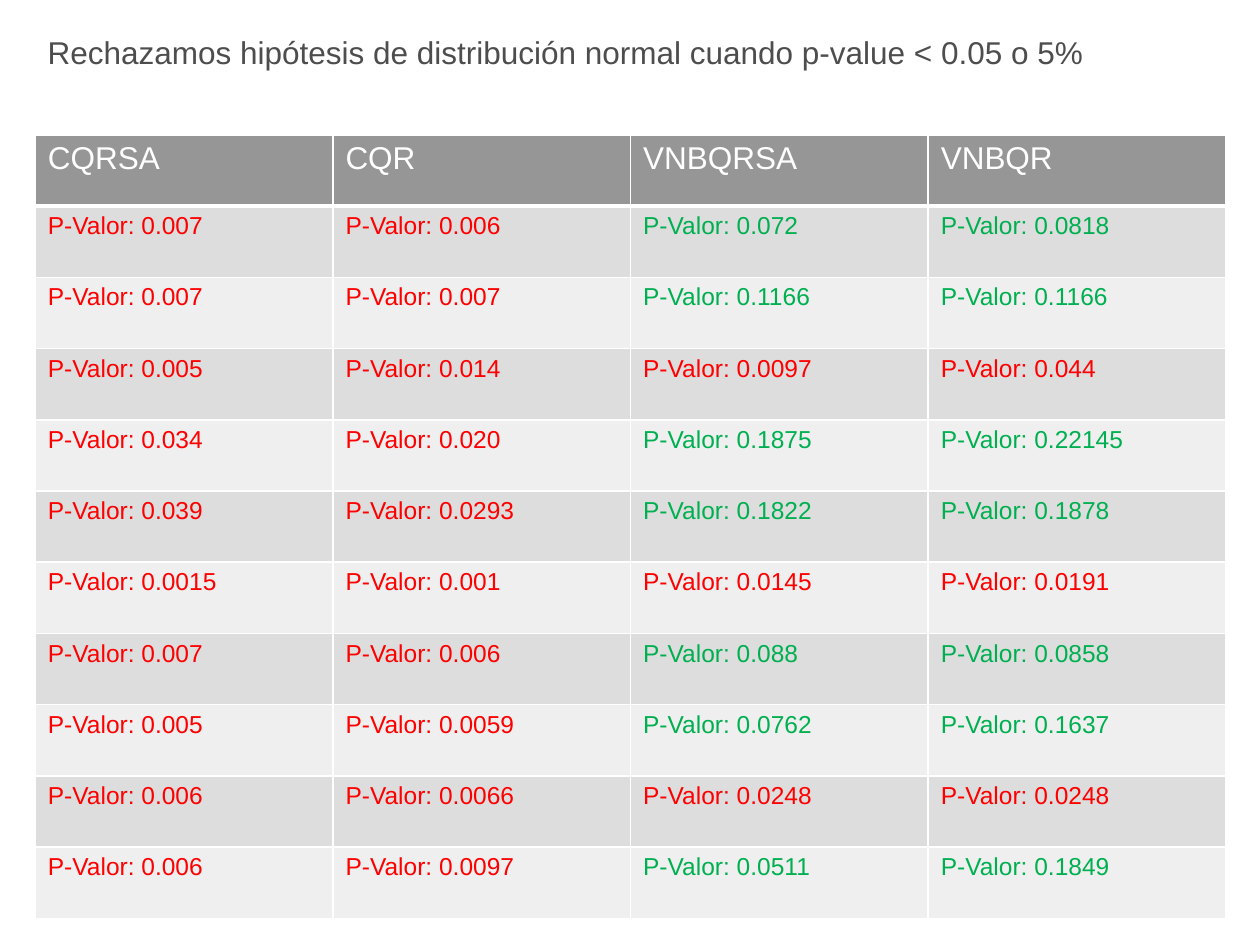
"""Build a slide with a table of normality-test p-values."""
from lxml.etree import SubElement
from pptx import Presentation
from pptx.dml.color import RGBColor
from pptx.enum.text import MSO_AUTO_SIZE
from pptx.oxml.ns import qn
from pptx.util import Inches, Pt


def write(tf, text, size=14, color="4D4D4D"):
    r = tf.paragraphs[0].add_run()
    r.text = text
    r.font.name = "Arial"
    r.font.size = Pt(size)
    r.font.bold = False
    r.font.color.rgb = RGBColor.from_string(color)


def add_border(cell, side, width, color="FFFFFF"):
    ln = SubElement(cell._tc.get_or_add_tcPr(), qn(f"a:ln{side}"), w=str(Pt(width)))
    SubElement(SubElement(ln, qn("a:solidFill")), qn("a:srgbClr"), val=color)


HEADERS = ["CQRSA", "CQR", "VNBQRSA", "VNBQR"]
P_VALUES = [
    ["0.007", "0.006", "0.072", "0.0818"],
    ["0.007", "0.007", "0.1166", "0.1166"],
    ["0.005", "0.014", "0.0097", "0.044"],
    ["0.034", "0.020", "0.1875", "0.22145"],
    ["0.039", "0.0293", "0.1822", "0.1878"],
    ["0.0015", "0.001", "0.0145", "0.0191"],
    ["0.007", "0.006", "0.088", "0.0858"],
    ["0.005", "0.0059", "0.0762", "0.1637"],
    ["0.006", "0.0066", "0.0248", "0.0248"],
    ["0.006", "0.0097", "0.0511", "0.1849"],
]

prs = Presentation()
prs.slide_width, prs.slide_height = Inches(10), Inches(7.5)
s = prs.slides.add_slide(prs.slide_layouts[6])

rows = [HEADERS] + P_VALUES
table = s.shapes.add_table(len(rows), len(HEADERS), Inches(0.28), Inches(1.07),
                           Inches(9.45), Inches(6.22)).table
for i, row in enumerate(rows):
    for j, value in enumerate(row):
        cell = table.cell(i, j)
        for side in "LRTB":
            under_header = (i, side) in [(0, "B"), (1, "T")]
            add_border(cell, side, 3 if under_header else 1)
        cell.fill.solid()
        if i == 0:
            fill = "969696"
            write(cell.text_frame, value, size=18, color="FFFFFF")
        else:
            fill = "DDDDDD" if i % 2 else "EFEFEF"
            color = "FF0000" if float(value) < 0.05 else "00B050"
            write(cell.text_frame, f"P-Valor: {value}", color=color)
        cell.fill.fore_color.rgb = RGBColor.from_string(fill)

tf = s.shapes.add_textbox(Inches(0.28), Inches(0.21), Inches(9.37), Inches(0.4)).text_frame
tf.word_wrap = True
tf.auto_size = MSO_AUTO_SIZE.SHAPE_TO_FIT_TEXT
write(tf, "Rechazamos hipótesis de distribución normal cuando p-value < 0.05 o 5%", size=18)

prs.save("out.pptx")
